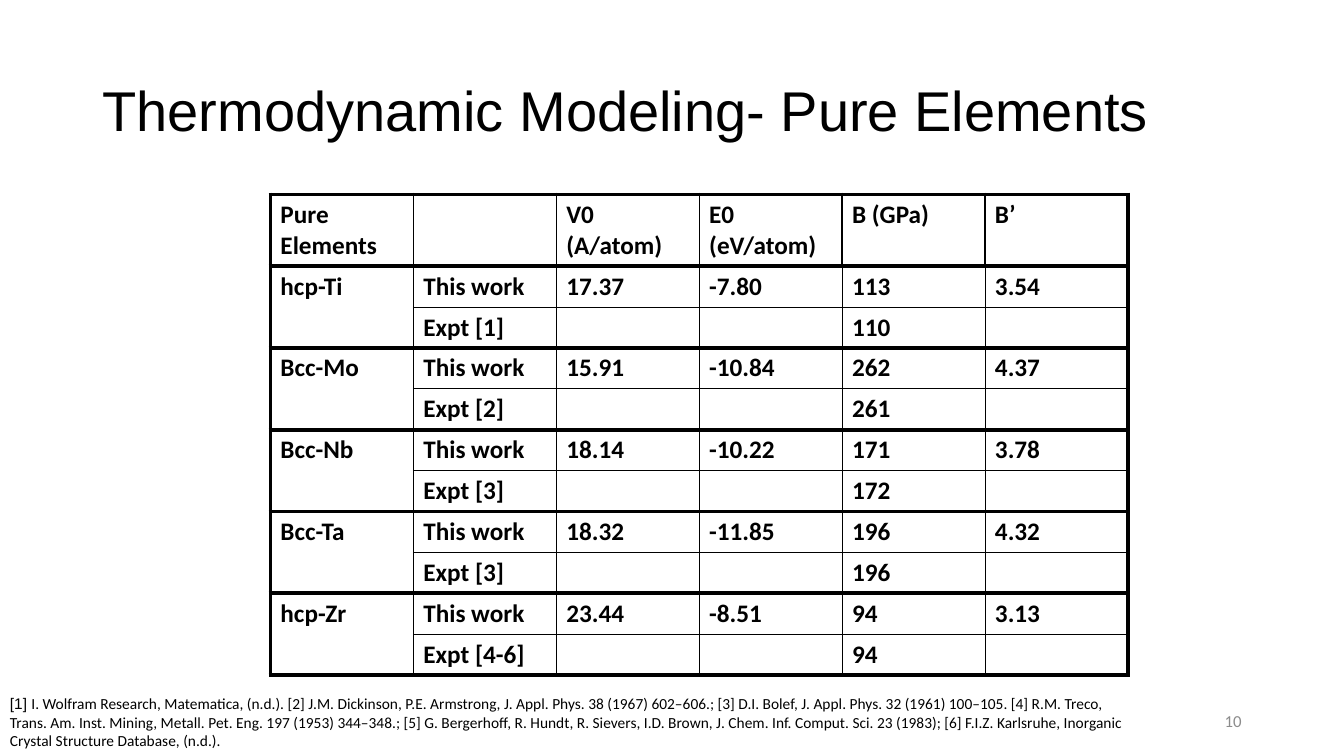
from dataclasses import dataclass

from lxml.etree import SubElement
from pptx import Presentation
from pptx.dml.color import RGBColor
from pptx.enum.text import MSO_ANCHOR as Anchor, MSO_AUTO_SIZE as AutoSize, PP_ALIGN as Align
from pptx.oxml.ns import qn
from pptx.util import Inches, Pt

SLIDE_WIDTH = Inches(13.33)
SLIDE_HEIGHT = Inches(7.5)
BLACK = "000000"
GREY = "8C8C8C"
HEADER = ["Pure Elements", "", "V0 (A/atom)", "E0 (eV/atom)", "B (GPa)", "B’"]
REFERENCES = (
    "I. Wolfram Research, Matematica, (n.d.). [2] J.M. Dickinson, P.E. Armstrong, "
    "J. Appl. Phys. 38 (1967) 602–606.; [3] D.I. Bolef, J. Appl. Phys. 32 (1961) 100–105. "
    "[4] R.M. Treco, Trans. Am. Inst. Mining, Metall. Pet. Eng. 197 (1953) 344–348.; "
    "[5] G. Bergerhoff, R. Hundt, R. Sievers, I.D. Brown, J. Chem. Inf. Comput. Sci. 23 (1983); "
    "[6] F.I.Z. Karlsruhe, Inorganic Crystal Structure Database, (n.d.)."
)


@dataclass(frozen=True)
class Box:
    left: float
    top: float
    width: float
    height: float

    def lengths(self) -> tuple[int, int, int, int]:
        return (
            round(SLIDE_WIDTH * self.left / 100),
            round(SLIDE_HEIGHT * self.top / 100),
            round(SLIDE_WIDTH * self.width / 100),
            round(SLIDE_HEIGHT * self.height / 100),
        )


@dataclass(frozen=True)
class Element:
    name: str
    volume: str
    energy: str
    modulus: str
    derivative: str
    source: str
    measured: str

    def rows(self) -> list[list[str]]:
        return [
            [self.name, "This work", self.volume, self.energy, self.modulus, self.derivative],
            ["", f"Expt {self.source}", "", "", self.measured, ""],
        ]


TITLE_BOX = Box(6.88, 5.33, 86.25, 19.33)
TABLE_BOX = Box(20.12, 25.73, 63.8, 63.4)
REFERENCES_BOX = Box(0, 91.2, 85.07, 8.8)
NUMBER_BOX = Box(70.63, 92.67, 22.5, 5.33)
ELEMENTS = [
    Element("hcp-Ti", "17.37", "-7.80", "113", "3.54", "[1]", "110"),
    Element("Bcc-Mo", "15.91", "-10.84", "262", "4.37", "[2]", "261"),
    Element("Bcc-Nb", "18.14", "-10.22", "171", "3.78", "[3]", "172"),
    Element("Bcc-Ta", "18.32", "-11.85", "196", "4.32", "[3]", "196"),
    Element("hcp-Zr", "23.44", "-8.51", "94", "3.13", "[4-6]", "94"),
]


def color(value: str) -> RGBColor:
    return RGBColor.from_string(value)


def format_font(font, name: str, size: float, value: str = BLACK, bold: bool = False) -> None:
    font.name = name
    font.size = Pt(size)
    font.bold = bold
    font.color.rgb = color(value)


def set_borders(cell, widths: dict[str, float]) -> None:
    cell.fill.background()
    properties = cell._tc.get_or_add_tcPr()
    for index, (side, width) in enumerate(widths.items()):
        line = SubElement(properties, qn(f"a:ln{side}"), w=str(Pt(width)))
        fill = SubElement(line, qn("a:solidFill"))
        SubElement(fill, qn("a:srgbClr"), val=BLACK)
        properties.insert(index, line)


def add_title(slide, text: str) -> None:
    title = slide.shapes.title
    title.left, title.top, title.width, title.height = TITLE_BOX.lengths()
    frame = title.text_frame
    frame.text = text
    frame.auto_size = AutoSize.NONE
    frame.vertical_anchor = Anchor.MIDDLE
    paragraph = frame.paragraphs[0]
    paragraph.alignment = Align.LEFT
    paragraph.line_spacing = 0.9
    format_font(paragraph.runs[0].font, "Arial", 40)


def add_element_table(slide) -> None:
    rows = [HEADER] + [row for element in ELEMENTS for row in element.rows()]
    frame = slide.shapes.add_table(len(rows), len(HEADER), *TABLE_BOX.lengths())
    table = frame.table
    table.first_row = table.horz_banding = False
    for index, row in enumerate(table.rows):
        row.height = Pt(29.2) if index else Inches(0.63)
    for row, values in enumerate(rows):
        thin = 0.5 if row else 1
        for column, value in enumerate(values):
            cell = table.cell(row, column)
            set_borders(cell, {
                "L": 3 if column == 0 else thin,
                "R": 3 if column == len(HEADER) - 1 else thin,
                "T": 3 if row == 0 or row % 2 or column == 0 else thin,
                "B": 3 if row % 2 == 0 or column == 0 else thin,
            })
            cell.text_frame.text = value
            format_font(cell.text_frame.paragraphs[0].font, "Calibri", 18, bold=True)
            for run in cell.text_frame.paragraphs[0].runs:
                format_font(run.font, "Calibri", 18, bold=True)
    for row in range(1, len(rows), 2):
        table.cell(row, 0).merge(table.cell(row + 1, 0))


def add_text(slide, box: Box, text: str, size: float, value: str = BLACK):
    frame = slide.shapes.add_textbox(*box.lengths()).text_frame
    frame.word_wrap = True
    frame.text = text
    format_font(frame.paragraphs[0].runs[0].font, "Calibri", size, value)
    return frame


def main() -> None:
    presentation = Presentation()
    presentation.slide_width = SLIDE_WIDTH
    presentation.slide_height = SLIDE_HEIGHT
    slide = presentation.slides.add_slide(presentation.slide_layouts[5])
    add_title(slide, "Thermodynamic Modeling- Pure Elements")
    add_element_table(slide)

    references = add_text(slide, REFERENCES_BOX, "[1] ", 11)
    references.auto_size = AutoSize.SHAPE_TO_FIT_TEXT
    paragraph = references.paragraphs[0]
    paragraph.runs[0].font.name = "Arial"
    citation = paragraph.add_run()
    citation.text = REFERENCES
    format_font(citation.font, "Calibri", 11)

    number = add_text(slide, NUMBER_BOX, "10", 12, GREY)
    number.vertical_anchor = Anchor.MIDDLE
    number.paragraphs[0].alignment = Align.RIGHT
    presentation.save("out.pptx")


if __name__ == "__main__":
    main()
